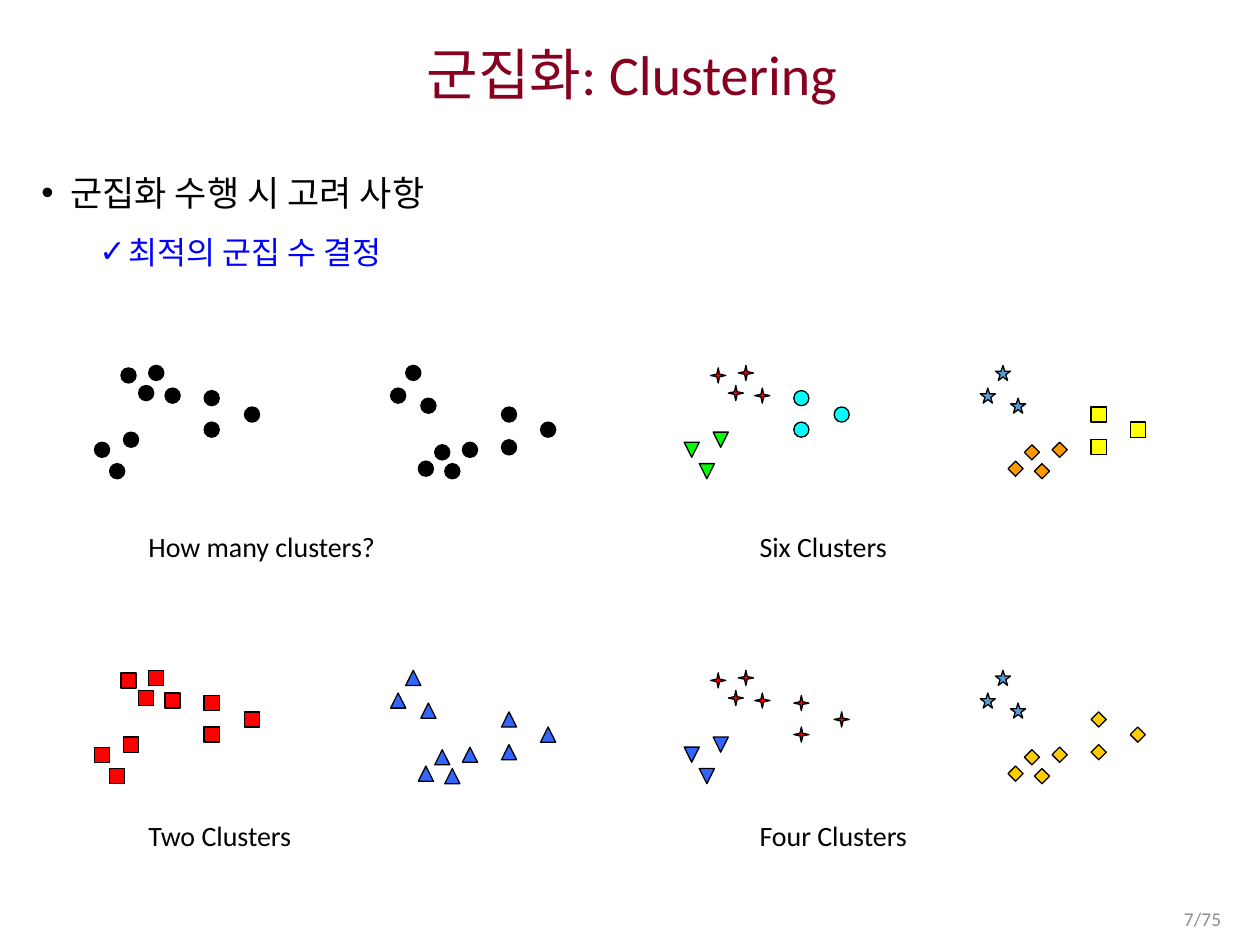
"""Build the slide on choosing the number of clusters."""
from lxml.etree import SubElement
from pptx import Presentation
from pptx.dml.color import RGBColor
from pptx.enum.shapes import MSO_SHAPE as Kind
from pptx.enum.text import MSO_ANCHOR as Anchor, MSO_AUTO_SIZE as Fit, PP_ALIGN as Align
from pptx.oxml.ns import qn
from pptx.util import Inches, Pt

COLORS = {
    "wine": "860020", "black": "000000", "ink": "0000FF", "gray": "8C8C8C",
    "red": "FF0000", "blue": "3366FF", "sky": "5B9BD5", "gold": "FFCC00",
    "orange": "FF9900", "yellow": "FFFF00", "lime": "00FF00", "cyan": "00FFFF",
}


def add_text(slide, rect, lines, align=Align.LEFT, anchor=Anchor.TOP):
    box = slide.shapes.add_textbox(*[Inches(v) for v in rect])
    frame = box.text_frame
    frame.word_wrap = True
    frame.vertical_anchor = anchor
    frame.text = "\n".join(text for text, size, color in lines)
    for para, (text, size, color) in zip(frame.paragraphs, lines):
        para.alignment = align
        font = para.runs[0].font
        font.name = "Calibri"
        font.size = Pt(size)
        font.color.rgb = RGBColor.from_string(COLORS[color])
    return frame


def add_mark(group, kind, color, left, top, flip):
    mark = group.shapes.add_shape(kind, Inches(left), Inches(top), Inches(0.12), Inches(0.12))
    mark.shadow.inherit = False
    mark.fill.solid()
    mark.fill.fore_color.rgb = RGBColor.from_string(COLORS[color])
    mark.line.color.rgb = RGBColor.from_string(COLORS["black"])
    mark.line.width = Pt(0.75)
    if kind == Kind.STAR_4_POINT:
        mark.adjustments[0] = 0.125
    if flip:
        mark._element.spPr.find(qn("a:xfrm")).set("flipV", "1")


deck = Presentation()
deck.slide_width, deck.slide_height = Inches(10), Inches(7.5)
slide = deck.slides.add_slide(deck.slide_layouts[6])

title = add_text(slide, (0.23, 0.25, 9.57, 0.73), [("군집화: Clustering", 32, "wine")],
                 Align.CENTER, Anchor.MIDDLE)
title.paragraphs[0].line_spacing = 0.9

body = add_text(slide, (0.23, 1.21, 9.57, 5.84), [
    ("군집화 수행 시 고려 사항", 20, "black"),
    ("최적의 군집 수 결정", 18, "ink"),
])
for level, (para, sign, left) in enumerate(zip(body.paragraphs, "•✓", (0.23, 0.69))):
    para.level = level
    para.line_spacing = 1.3
    props = para._p.get_or_add_pPr()
    props.set("marL", str(Inches(left)))
    props.set("indent", str(Inches(-0.23)))
    SubElement(props, qn("a:buFont")).set("typeface", "Arial")
    SubElement(props, qn("a:buChar")).set("char", sign)
body.paragraphs[1].space_before = Pt(4.6)

CLOUDS = [
    [(0.56, 0.18), (0.21, 0.02), (0.43, 0), (0.35, 0.16)],
    [(0.23, 0.53), (0, 0.61), (0.12, 0.78)],
    [(0.87, 0.2), (1.19, 0.33), (0.87, 0.45)],
    [(2.92, 0.61), (2.57, 0.76), (2.78, 0.78), (2.7, 0.63)],
    [(2.59, 0.26), (2.35, 0.18), (2.47, 0)],
    [(3.23, 0.59), (3.54, 0.45), (3.23, 0.33)],
]
dot = (Kind.OVAL, "black")
box = (Kind.RECTANGLE, "red")
peak = (Kind.ISOSCELES_TRIANGLE, "blue")
spark = (Kind.STAR_4_POINT, "red")
star = (Kind.STAR_5_POINT, "sky")
gem = (Kind.DIAMOND, "gold")
PANELS = [
    ("How many clusters?", 0, 0, [dot] * 6),
    ("Six Clusters", 1, 0, [spark, (Kind.ISOSCELES_TRIANGLE, "lime"), (Kind.OVAL, "cyan"),
                            (Kind.DIAMOND, "orange"), star, (Kind.RECTANGLE, "yellow")]),
    ("Two Clusters", 0, 1, [box] * 3 + [peak] * 3),
    ("Four Clusters", 1, 1, [spark, (Kind.FLOWCHART_EXTRACT, "blue"), spark, gem, star, gem]),
]
for label, col, row, styles in PANELS:
    group = slide.shapes.add_group_shape()
    for index, (cloud, (kind, color)) in enumerate(zip(CLOUDS, styles)):
        for x, y in cloud:
            add_mark(group, kind, color, 0.75 + 4.68 * col + x, 2.9 + 2.42 * row + y, index < 3)
    frame = add_text(slide, (1.08 + 4.85 * col, 4.15 + 2.3 * row, 2.5, 0.37),
                     [(label, 16, "black")])
    frame.auto_size = Fit.SHAPE_TO_FIT_TEXT

add_text(slide, (7.54, 7.14, 2.25, 0.3), [("7/75", 11.1, "gray")], Align.RIGHT, Anchor.MIDDLE)

deck.save("out.pptx")
